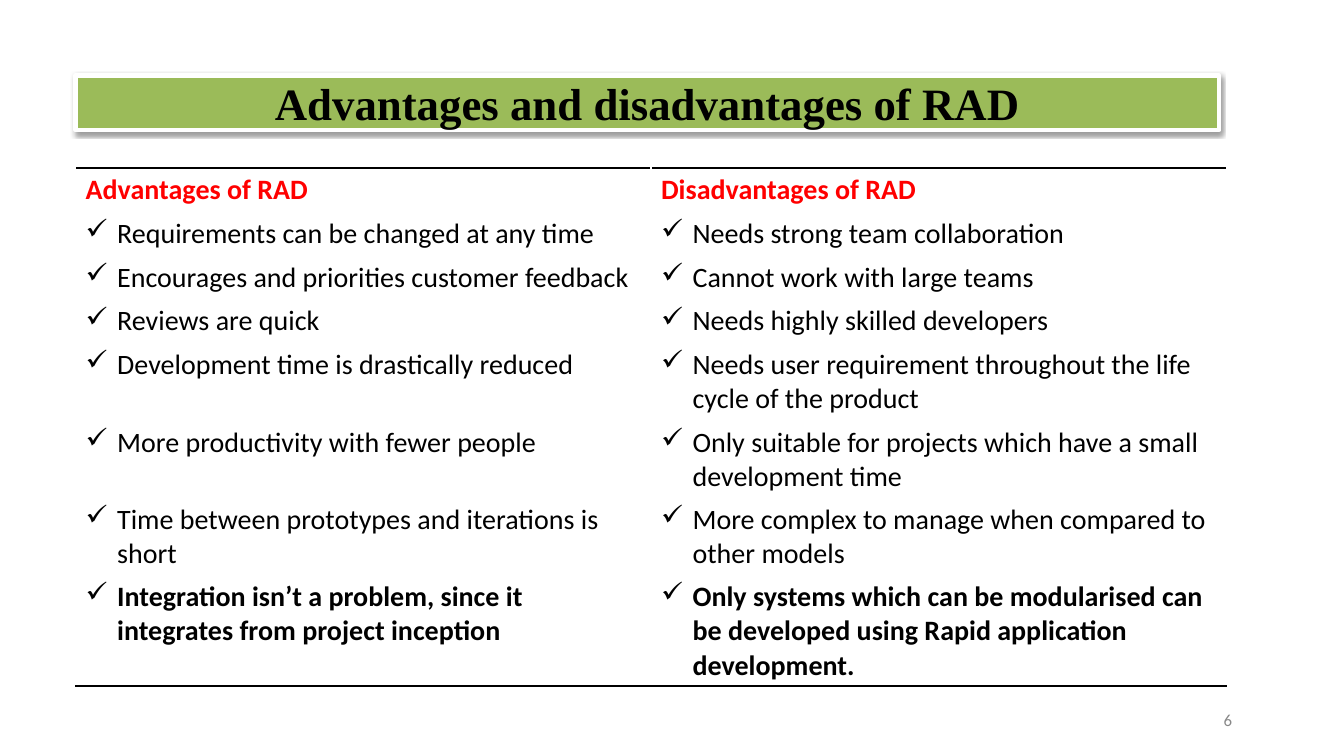
import lxml.etree
import pptx
import pptx.dml.color
import pptx.enum.shapes
import pptx.enum.text
import pptx.oxml
import pptx.oxml.ns
import pptx.util

Pt = pptx.util.Pt
ALIGN = pptx.enum.text.PP_ALIGN
COLORS = {"banner": "9BBB59", "white": "FFFFFF", "ink": "000000", "heading": "FF0000", "number": "888888"}
HEADINGS = ("Advantages of RAD", "Disadvantages of RAD")
POINTS = [
    ("Requirements can be changed at any time", "Needs strong team collaboration"),
    ("Encourages and priorities customer feedback", "Cannot work with large teams"),
    ("Reviews are quick", "Needs highly skilled developers"),
    ("Development time is drastically reduced",
     "Needs user requirement throughout the life cycle of the product"),
    ("More productivity with fewer people",
     "Only suitable for projects which have a small development time"),
    ("Time between prototypes and iterations is short",
     "More complex to manage when compared to other models"),
    ("Integration isn’t a problem, since it integrates from project inception",
     "Only systems which can be modularised can be developed using Rapid application development."),
]
ROW_HEIGHTS = [28] * 4 + [48] * 4


def rgb(name):
    return pptx.dml.color.RGBColor.from_string(COLORS[name])


def xml(tag, content="", **attributes):
    listed = "".join(f' {key}="{value}"' for key, value in attributes.items())
    return pptx.oxml.parse_xml(f'<a:{tag} {pptx.oxml.ns.nsdecls("a")}{listed}>{content}</a:{tag}>')


def write(frame, text, size=20, font="Calibri", color="ink", bold=False,
          align=ALIGN.LEFT, spacing=None, indent=0, hanging=0, bullet=None):
    frame.word_wrap = True
    paragraph = frame.paragraphs[0]
    paragraph.alignment = align
    if spacing:
        paragraph.line_spacing = Pt(spacing)
    run = paragraph.add_run()
    run.text = text
    run.font.size, run.font.name, run.font.bold = Pt(size), font, bold
    run.font.color.rgb = rgb(color)
    properties = paragraph._p.get_or_add_pPr()
    properties.set("marL", str(Pt(indent)))
    properties.set("indent", str(Pt(-hanging)))
    if bullet:
        properties.append(xml("buChar", char=bullet))


def clear_margins(frame):
    frame.margin_left = frame.margin_top = frame.margin_right = frame.margin_bottom = 0


def add_banner(slide, left, top, width, height):
    banner = slide.shapes.add_shape(
        pptx.enum.shapes.MSO_SHAPE.RECTANGLE, Pt(left), Pt(top), Pt(width), Pt(height))
    banner.fill.solid()
    banner.fill.fore_color.rgb = rgb("banner")
    banner.line.color.rgb = rgb("white")
    banner.line.width = Pt(3)
    shade = f'<a:srgbClr val="{COLORS["ink"]}"><a:alpha val="38000"/></a:srgbClr>'
    shadow = (f'<a:outerShdw blurRad="{Pt(3.1)}" dist="{Pt(1.6)}" dir="5400000" '
              f'rotWithShape="0">{shade}</a:outerShdw>')
    banner._element.spPr.append(xml("effectLst", shadow))
    clear_margins(banner.text_frame)
    banner.text_frame.vertical_anchor = pptx.enum.text.MSO_ANCHOR.MIDDLE
    write(banner.text_frame, "Advantages and disadvantages of RAD", size=32,
          font="Times New Roman", bold=True, align=ALIGN.CENTER)


def add_rule(cell, edge):
    color = f'<a:solidFill><a:srgbClr val="{COLORS["ink"]}"/></a:solidFill>'
    cell._tc.get_or_add_tcPr().insert(0, xml(edge, color, w=Pt(2)))


def add_comparison(slide, left, top, width):
    comparison = slide.shapes.add_table(
        len(ROW_HEIGHTS), 2, Pt(left), Pt(top), Pt(width), Pt(sum(ROW_HEIGHTS))).table
    comparison.first_row = comparison.horz_banding = False
    for row, height in zip(comparison.rows, ROW_HEIGHTS):
        row.height = Pt(height)
    last = len(POINTS)
    for row, pair in enumerate([HEADINGS] + POINTS):
        for column, text in enumerate(pair):
            cell = comparison.cell(row, column)
            cell.fill.solid()
            cell.fill.fore_color.rgb = rgb("white")
            if row == 0:
                write(cell.text_frame, text, color="heading", bold=True)
                add_rule(cell, "lnT")
            else:
                write(cell.text_frame, text, bold=row == last, indent=22.5, hanging=22.5, bullet="✓")
            if row == last:
                add_rule(cell, "lnB")


def add_page_number(slide, left, top, width, height):
    number = slide.shapes.add_textbox(Pt(left), Pt(top), Pt(width), Pt(height)).text_frame
    clear_margins(number)
    write(number, "6", size=12, color="number", spacing=12.4, indent=3)


def build_slide(presentation):
    """Place the banner, the comparison table and the page number."""
    slide = presentation.slides.add_slide(presentation.slide_layouts[6])
    add_banner(slide, 54, 54, 817, 39)
    add_page_number(slide, 871, 509, 18, 14.4)
    add_comparison(slide, 54, 120, 822)


presentation = pptx.Presentation()
presentation.slide_width, presentation.slide_height = Pt(960), Pt(540)
build_slide(presentation)
presentation.save("out.pptx")
